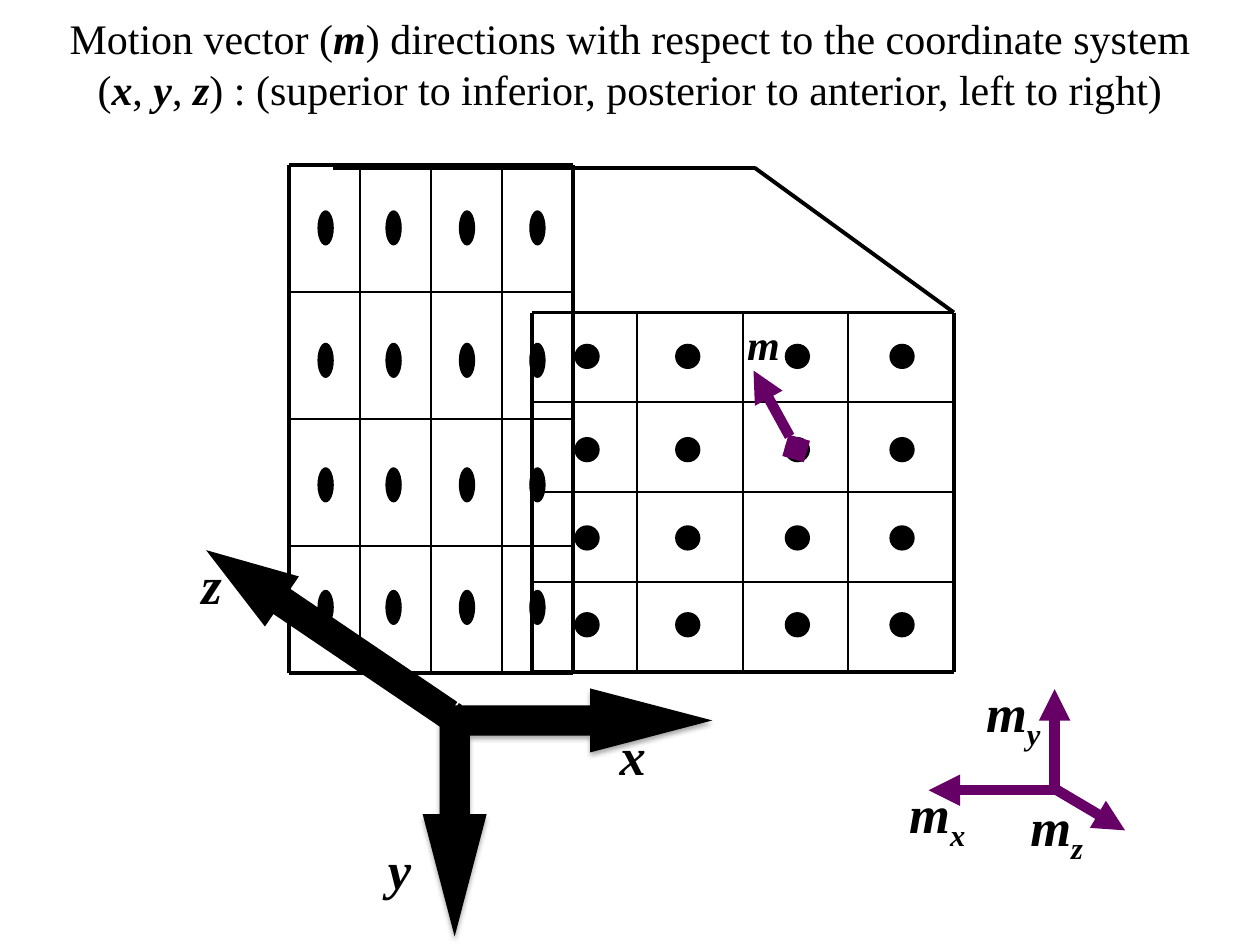
from lxml import etree
from pptx import Presentation
from pptx.dml.color import RGBColor
from pptx.enum import shapes, text
from pptx.oxml.ns import qn
from pptx.util import Cm, Pt

BLACK = RGBColor(0x00, 0x00, 0x00)
PURPLE = RGBColor(0x66, 0x00, 0x66)
FONT = "Times New Roman"
THICK, THIN, ARROW = 2.25, 1, 6


def add_line(parent, start, end, width, color=BLACK, head=None, tail=None):
    """Draw a shadowless straight line; points are in centimetres."""
    line = parent.add_connector(shapes.MSO_CONNECTOR.STRAIGHT,
                                *(Cm(value) for value in (*start, *end)))
    line.line.color.rgb = color
    line.line.width = Pt(width)
    properties = line._element.spPr
    outline = properties.find(qn("a:ln"))
    for tag, kind in (("a:headEnd", head), ("a:tailEnd", tail)):
        if kind:
            etree.SubElement(outline, qn(tag), type=kind)
    etree.SubElement(properties, qn("a:effectLst"))


def add_black_shape(parent, kind, left, top, width, height):
    shape = parent.add_shape(kind, Cm(left), Cm(top), Cm(width), Cm(height))
    shape.shadow.inherit = False
    shape.fill.solid()
    shape.fill.fore_color.rgb = BLACK
    shape.line.fill.background()
    return shape


presentation = Presentation()
presentation.slide_width, presentation.slide_height = Cm(25.4), Cm(19.05)
slide = presentation.slides.add_slide(presentation.slide_layouts[5])

# Title
title = slide.shapes.title
title.left, title.top, title.width, title.height = Cm(1.04), Cm(0.13), Cm(23.32), Cm(2.31)
frame = title.text_frame
frame.word_wrap = False
frame.auto_size = text.MSO_AUTO_SIZE.NONE
frame.vertical_anchor = text.MSO_ANCHOR.TOP
title_lines = [
    [("Motion vector (", False), ("m", True),
     (") directions with respect to the coordinate system", False)],
    [("(", False), ("x", True), (", ", False), ("y", True), (", ", False), ("z", True),
     (") : (superior to inferior, posterior to anterior, left to right)", False)],
]
for index, pieces in enumerate(title_lines):
    paragraph = frame.add_paragraph() if index else frame.paragraphs[0]
    paragraph.alignment = text.PP_ALIGN.CENTER
    paragraph.space_before = Pt(0)
    for words, is_vector in pieces:
        run = paragraph.add_run()
        run.text = words
        run.font.name, run.font.size = FONT, Pt(24)
        run.font.color.rgb = BLACK
        run.font.bold = run.font.italic = is_vector

# Z axis
z_axis = add_black_shape(slide.shapes, shapes.MSO_SHAPE.STRIPED_RIGHT_ARROW,
                         3.63, 12.19, 6.1, 1.22)
z_axis.rotation = 214.1
z_axis.adjustments[0], z_axis.adjustments[1] = 0.5, 1.513

# Front and side planes: box, dot columns, dot rows, dot size
side_group = slide.shapes.add_group_shape()
planes = [
    (slide.shapes, (10.72, 6.3, 8.51, 7.24),
     (11.58, 13.61, 15.82, 17.93), (6.93, 8.81, 10.59, 12.34), (0.51, 0.51)),
    (side_group.shapes, (5.82, 3.33, 5.74, 10.24),
     (6.4, 7.77, 9.25, 10.67), (4.24, 6.91, 9.42, 11.89), (0.33, 0.71)),
]
CELLS = 4
for parent, (left, top, width, height), columns, rows, dot_size in planes:
    right, bottom = left + width, top + height
    for step in range(CELLS + 1):
        weight = THICK if step in (0, CELLS) else THIN
        x = left + width * step / CELLS
        y = top + height * step / CELLS
        add_line(parent, (left, y), (right, y), weight)
        add_line(parent, (x, top), (x, bottom), weight)
    for row in rows:
        for column in columns:
            add_black_shape(parent, shapes.MSO_SHAPE.OVAL, column, row, *dot_size)

# Edges joining the two planes
add_line(slide.shapes, (6.71, 3.38), (15.21, 3.38), THICK)
add_line(slide.shapes, (15.21, 3.38), (19.23, 6.3), THICK)

# Motion vector and its components
for start, end, head in [
    ((16.05, 9.04), (15.19, 7.47), "diamond"),
    ((21.26, 15.98), (21.26, 13.89), None),
    ((21.31, 15.93), (18.72, 15.93), None),
    ((21.26, 15.9), (22.68, 16.74), None),
]:
    add_line(slide.shapes, start, end, ARROW, PURPLE, head, "triangle")

# X and y axes, flipped and turned so that the corner is at top left
xy_axes = add_black_shape(slide.shapes, shapes.MSO_SHAPE.LEFT_UP_ARROW,
                          8.94, 13.46, 5.0, 5.84)
xy_axes.rotation = 270
for index, value in enumerate((0.122, 0.129, 0.493)):
    xy_axes.adjustments[index] = value
axes_properties = xy_axes._element.spPr
axes_properties.find(qn("a:xfrm")).set("flipV", "1")
shadow = etree.SubElement(axes_properties.find(qn("a:effectLst")), qn("a:outerShdw"),
                          blurRad=str(Pt(3.1)), dist=str(Pt(1.8)),
                          dir="5400000", rotWithShape="0")
shadow_color = etree.SubElement(shadow, qn("a:srgbClr"), val=str(BLACK))
etree.SubElement(shadow_color, qn("a:alpha"), val="35000")

# Labels: letter, subscript, size, left, top, width, height
for letter, subscript, size, left, top, width, height in [
    ("x", "", 30, 12.24, 14.45, 1.37, 1.55),
    ("y", "", 30, 7.57, 16.74, 1.27, 1.55),
    ("z", "", 30, 3.81, 11.0, 1.22, 1.55),
    ("m", "x", 30, 18.08, 15.62, 1.83, 1.55),
    ("m", "y", 30, 19.63, 13.59, 1.78, 1.55),
    ("m", "z", 30, 20.52, 15.88, 1.75, 1.55),
    ("m", "", 24, 14.81, 6.3, 1.24, 1.27),
]:
    label = slide.shapes.add_textbox(Cm(left), Cm(top), Cm(width), Cm(height))
    label.text_frame.word_wrap = False
    label.text_frame.auto_size = text.MSO_AUTO_SIZE.SHAPE_TO_FIT_TEXT
    for words, baseline in ((letter, None), (subscript, "-25000")):
        if not words:
            continue
        run = label.text_frame.paragraphs[0].add_run()
        run.text = words
        run.font.name, run.font.size = FONT, Pt(size)
        run.font.bold = run.font.italic = True
        run.font.color.rgb = BLACK
        if baseline:
            run.font._element.set("baseline", baseline)

presentation.save("out.pptx")
